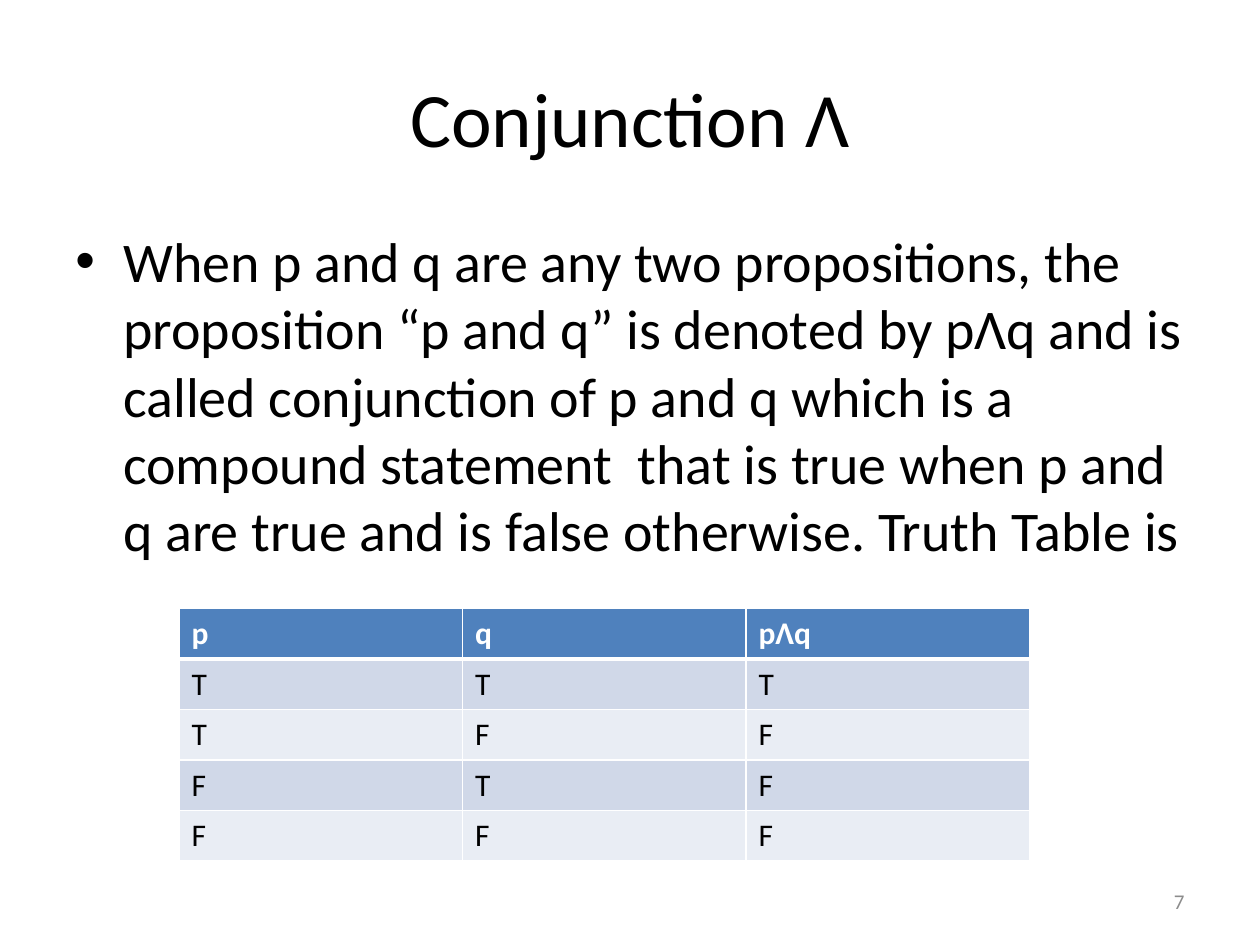
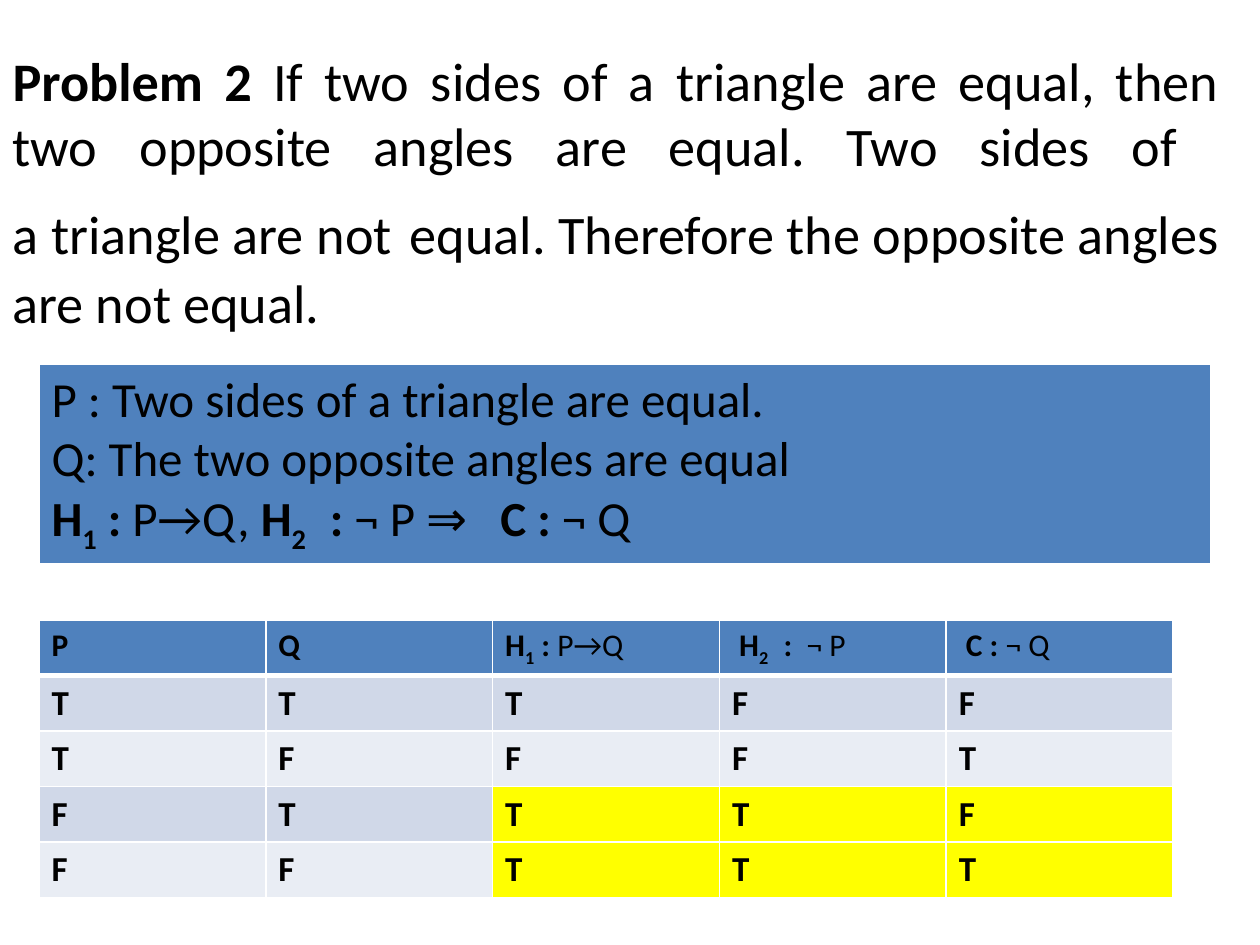
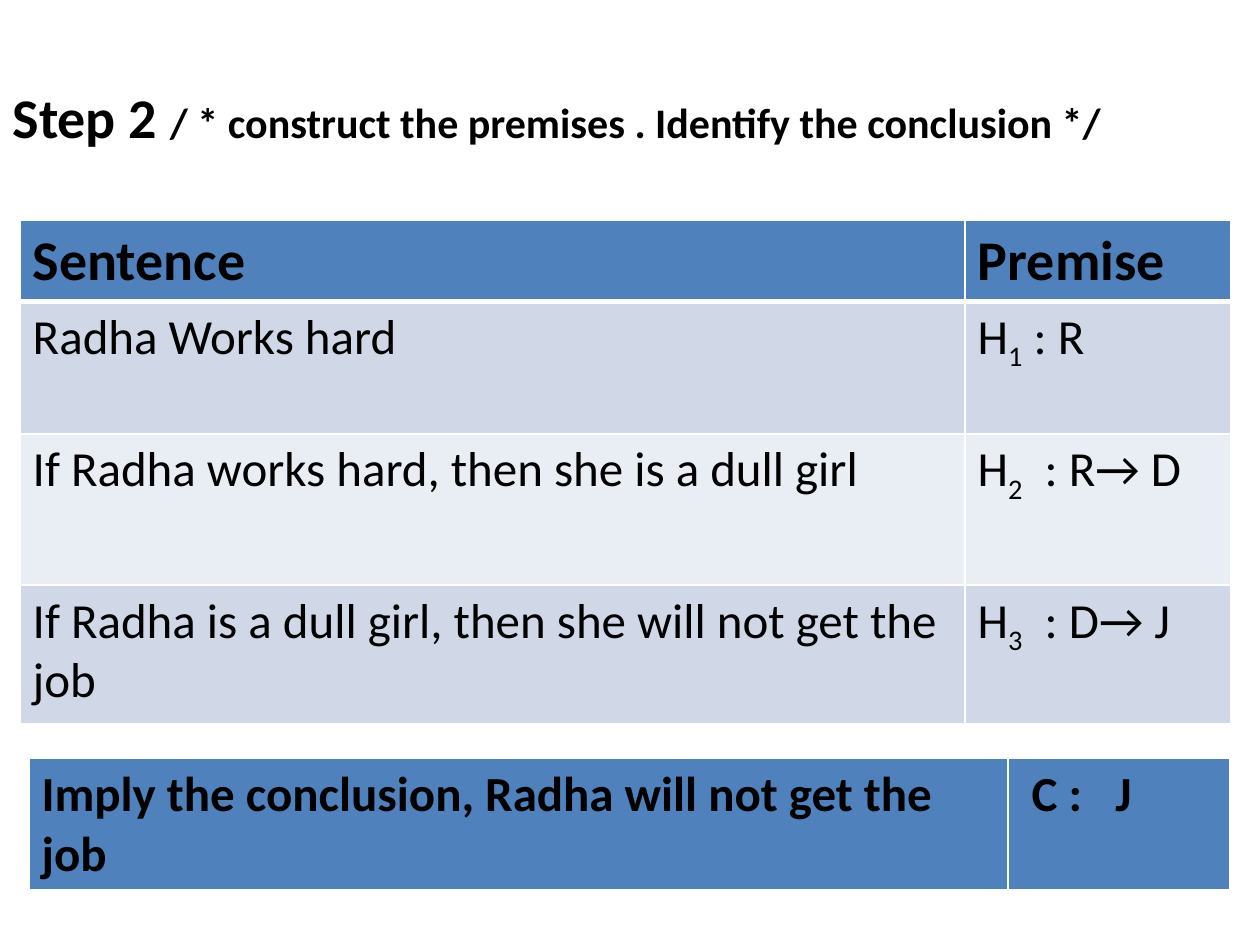
"""Build three slides on propositional logic with truth tables and premises."""
from collections import namedtuple

from lxml import etree
from pptx import Presentation
from pptx import util as u
from pptx.dml.color import RGBColor
from pptx.enum import text
from pptx.oxml.ns import qn

BLACK = RGBColor(0x00, 0x00, 0x00)
WHITE = RGBColor(0xFF, 0xFF, 0xFF)
GREY = RGBColor(0x8C, 0x8C, 0x8C)
HEADER_BLUE = RGBColor(0x4F, 0x81, 0xBD)
BAND_DARK = RGBColor(0xD0, 0xD8, 0xE8)
BAND_LIGHT = RGBColor(0xE9, 0xED, 0xF4)
YELLOW = RGBColor(0xFF, 0xFF, 0x00)
FONT = "Calibri"
TITLE_ONLY = 5

Box = namedtuple("Box", "left top width height")
Piece = namedtuple("Piece", "words bold sub size", defaults=(None, False, None))


def bold(words):
    """Return a bold piece of text."""
    return Piece(words, bold=True)


def sub(words, heavy=None):
    """Return a subscript piece of text."""
    return Piece(words, bold=heavy, sub=True)


def write(paragraph, *pieces, size=18, color=BLACK, heavy=False, align=text.PP_ALIGN.LEFT):
    """Write strings and pieces into a paragraph with one shared format."""
    paragraph.alignment = align
    for piece in pieces:
        if isinstance(piece, str):
            piece = Piece(piece)
        points = piece.size or size
        for number, line in enumerate(piece.words.split("\n")):
            if number:
                paragraph.add_line_break()
                etree.SubElement(paragraph._p[-1], qn("a:rPr"), sz=str(points * 100))
            run = paragraph.add_run()
            run.text = line
            run.font.name = FONT
            run.font.size = u.Pt(points)
            run.font.bold = heavy if piece.bold is None else piece.bold
            run.font.color.rgb = color
            if piece.sub:
                run._r.get_or_add_rPr().set("baseline", "-25000")


def place(part, box):
    """Move and size a part to a box given in inches."""
    part.left, part.top, part.width, part.height = map(u.Inches, box)


def add_titled_slide(deck, box, *pieces, **style):
    """Add a title-only slide and fill its title."""
    slide = deck.slides.add_slide(deck.slide_layouts[TITLE_ONLY])
    title = slide.shapes.title
    place(title, box)
    frame = title.text_frame
    frame.auto_size = text.MSO_AUTO_SIZE.NONE
    frame.vertical_anchor = text.MSO_ANCHOR.MIDDLE
    write(frame.paragraphs[0], *pieces, **style)
    return slide


def add_note(slide, box, words, bullet=False, anchor=text.MSO_ANCHOR.TOP, **style):
    """Add a wrapping text box, with a hanging bullet if asked."""
    frame = slide.shapes.add_textbox(*map(u.Inches, box)).text_frame
    frame.word_wrap = True
    frame.vertical_anchor = anchor
    paragraph = frame.paragraphs[0]
    if bullet:
        hang = u.Inches(0.38)
        properties = paragraph._p.get_or_add_pPr()
        properties.set("marL", str(hang))
        properties.set("indent", str(-hang))
        etree.SubElement(properties, qn("a:buFont"), typeface="Arial")
        etree.SubElement(properties, qn("a:buChar"), char="•")
    write(paragraph, words, **style)


def add_borders(cell, top, bottom):
    """Draw white borders around a cell, with top and bottom widths in points."""
    properties = cell._tc.get_or_add_tcPr()
    for side, width in (("L", 1), ("R", 1), ("T", top), ("B", bottom)):
        line = etree.SubElement(properties, qn(f"a:ln{side}"), w=str(u.Pt(width)))
        fill = etree.SubElement(line, qn("a:solidFill"))
        etree.SubElement(fill, qn("a:srgbClr"), val=str(WHITE))


def add_banded_table(slide, left, top, widths, heights, rows, head, body=None, highlight=()):
    """Add a table with a blue first row and banded rows below it."""
    box = Box(left, top, sum(widths), sum(heights))
    table = slide.shapes.add_table(len(rows), len(widths), *map(u.Inches, box)).table
    for column, width in zip(table.columns, widths):
        column.width = u.Inches(width)
    for r, (row, height) in enumerate(zip(rows, heights)):
        table.rows[r].height = u.Inches(height)
        band = BAND_DARK if r % 2 else BAND_LIGHT
        for c, content in enumerate(row):
            cell = table.cell(r, c)
            add_borders(cell, top=3 if r == 1 else 1, bottom=1 if r else 3)
            cell.fill.solid()
            cell.fill.fore_color.rgb = (
                YELLOW if (r, c) in highlight else band if r else HEADER_BLUE)
            lines = content if isinstance(content, list) else [content]
            for number, line in enumerate(lines):
                frame = cell.text_frame
                paragraph = frame.add_paragraph() if number else frame.paragraphs[0]
                pieces = (line,) if isinstance(line, str) else line
                write(paragraph, *pieces, **(body if r else head))


def build_conjunction(deck):
    """Define conjunction and show its truth table."""
    slide = add_titled_slide(deck, Box(0.5, 0.3, 9, 1.25), "Conjunction Ʌ",
                             size=44, align=text.PP_ALIGN.CENTER)
    add_note(slide, Box(0.5, 1.75, 9, 4.95),
             "When p and q are any two propositions, the proposition “p and q” is denoted "
             "by pɅq and is called conjunction of p and q which is a compound statement  "
             "that is true when p and q are true and is false otherwise. Truth Table is",
             bullet=True, size=32)
    add_note(slide, Box(7.17, 6.95, 2.33, 0.4), "7", anchor=text.MSO_ANCHOR.MIDDLE,
             size=12, color=GREY, align=text.PP_ALIGN.RIGHT)
    add_banded_table(slide, 1.42, 4.83, [2.25] * 3, [0.4] * 5,
                     [("p", "q", "pɅq"), "TTT", "TFF", "FTF", "FFF"],
                     head=dict(color=WHITE, heavy=True), body=dict(size=18))


def build_triangle_problem(deck):
    """State the triangle problem, its symbols and its truth table."""
    slide = add_titled_slide(
        deck, Box(0, 0.3, 9.77, 2.43), bold("Problem 2"),
        " If two sides of a triangle are equal, then two opposite angles are equal. "
        "Two sides of \na triangle are not", Piece(" ", size=44),
        "equal. Therefore the opposite angles are not equal.",
        size=31, align=text.PP_ALIGN.JUSTIFY)
    first = (bold("H"), sub("1", True), bold(" : "))
    second = sub("2  ", True)
    symbols = ["P : Two sides of a triangle are equal.",
               "Q: The two opposite angles are equal",
               (*first, "P→Q, ", bold("H"), second, bold(" : "), "¬ P ⇒  ",
                bold(" C : "), "¬ Q")]
    headings = (bold("P"), ), (bold("Q"), ), (*first, "P→Q"), \
        (bold(" H"), second, bold(" :  "), "¬ P"), (bold(" C : "), "¬ Q")
    add_banded_table(slide, 0.31, 4.92, [1.8] * 5, [0.44] * 5,
                     [headings, "TTTFF", "TFFFT", "FTTTF", "FFTTT"],
                     head=dict(size=18), body=dict(size=20, heavy=True),
                     highlight={(r, c) for r in (3, 4) for c in (2, 3, 4)})
    add_banded_table(slide, 0.31, 2.89, [9.3], [1.6], [[symbols]], head=dict(size=28))


def build_premises(deck):
    """List the premises and the conclusion about Radha."""
    slide = add_titled_slide(
        deck, Box(0, 0.3, 9.84, 1.25), "Step 2 ",
        Piece("/ * construct the premises . Identify the conclusion */", size=24),
        size=32, heavy=True, align=text.PP_ALIGN.JUSTIFY)
    premises = [("Sentence", "Premise"),
                ("Radha Works hard", ("H", sub("1"), " : R")),
                ("If Radha works hard, then she is a dull girl",
                 ("H", sub("2"), "  : R→ D")),
                ("If Radha is a dull girl, then she will not get the job",
                 ("H", sub("3"), "  : D→ J"))]
    add_banded_table(slide, 0.16, 1.75, [7.5, 2.11], [0.63, 1.05, 1.2, 1.1], premises,
                     head=dict(size=32, heavy=True), body=dict(size=28))
    add_banded_table(slide, 0.23, 6.02, [7.77, 1.76], [1.03],
                     [("Imply the conclusion, Radha will not get the job", " C :   J")],
                     head=dict(size=28, heavy=True))


def main():
    """Build and save the deck."""
    deck = Presentation()
    deck.slide_width, deck.slide_height = u.Inches(10), u.Inches(7.5)
    build_conjunction(deck)
    build_triangle_problem(deck)
    build_premises(deck)
    deck.save("out.pptx")


if __name__ == "__main__":
    main()
